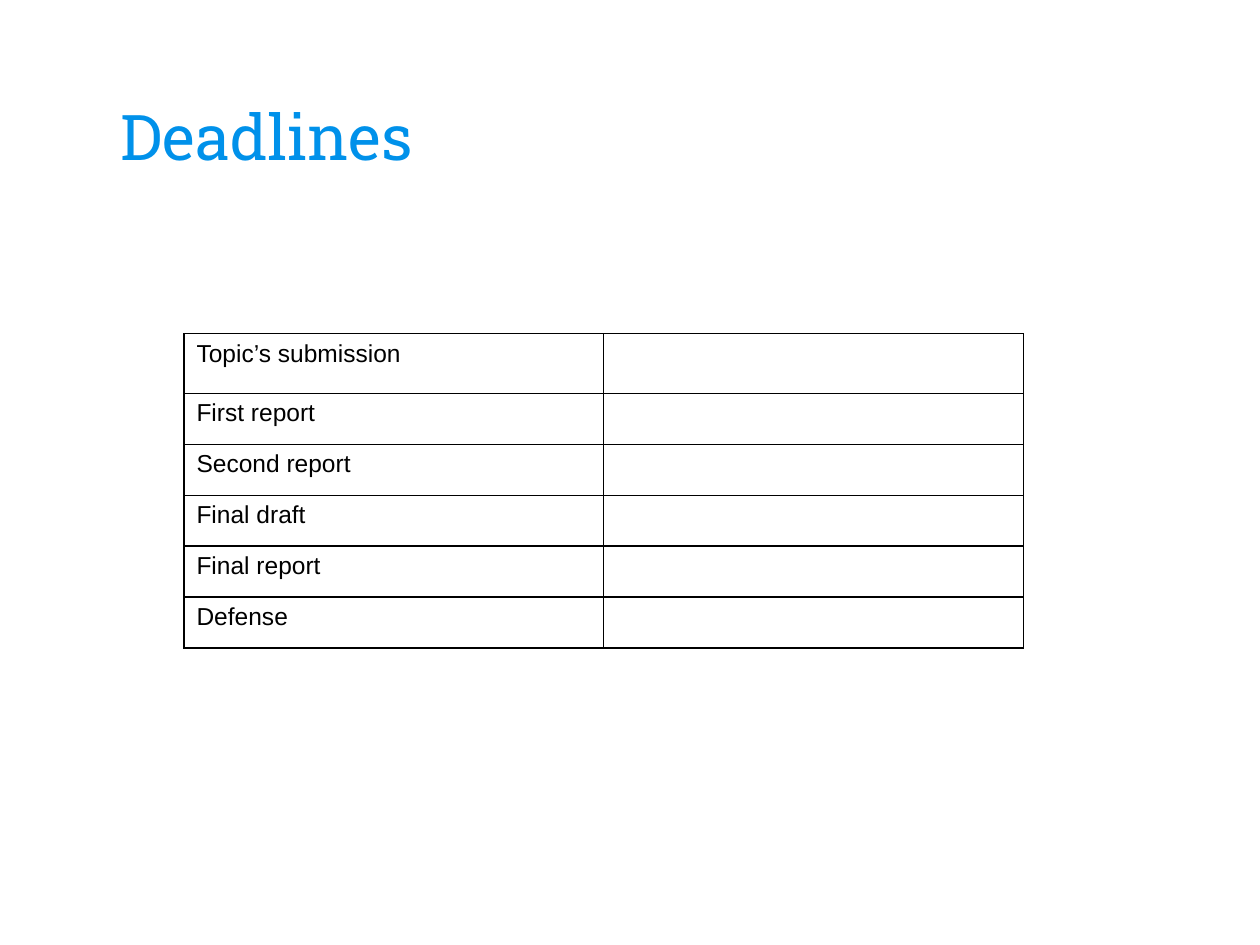
from lxml import etree
from pptx import Presentation
from pptx import util as u
from pptx.dml import color
from pptx.enum import text
from pptx.oxml import ns


def paint(target, value):
    target.rgb = color.RGBColor.from_string(value)


def write(paragraph, words, name, size, value):
    run = paragraph.add_run()
    run.text = words
    for key, setting in {"name": name, "size": u.Pt(size)}.items():
        setattr(run.font, key, setting)
    paint(run.font.color, value)


presentation = Presentation()
presentation.slide_width = u.Inches(10)
presentation.slide_height = u.Inches(7.5)
width, height = presentation.slide_width, presentation.slide_height
slide = presentation.slides.add_slide(presentation.slide_layouts[6])
slide.background.fill.solid()
paint(slide.background.fill.fore_color, "FFFFFF")

title = slide.shapes.add_textbox(
    u.Inches(0.86), u.Inches(0.45), u.Inches(8.28), u.Inches(1.02)
)
frame_format = {
    "word_wrap": True,
    "vertical_anchor": text.MSO_ANCHOR.BOTTOM,
    "margin_left": u.Inches(0.1),
    "margin_right": u.Inches(0.1),
    "margin_top": u.Inches(0.1),
    "margin_bottom": u.Inches(0.1),
}
for key, setting in frame_format.items():
    setattr(title.text_frame, key, setting)
write(title.text_frame.paragraphs[0], "Deadlines", "Roboto Slab", 36, "0091EA")

milestones = [
    "Topic’s submission",
    "First report",
    "Second report",
    "Final draft",
    "Final report",
    "Defense",
]
column_width = width // 3
row_height = int(height * 0.054)
first_row_height = u.Inches(0.47)
table_height = first_row_height + row_height * (len(milestones) - 1)
table = slide.shapes.add_table(
    len(milestones), 2, u.Inches(1.46), u.Inches(2.65), column_width * 2, table_height
).table
table.first_row = False
table.horz_banding = False
for column in table.columns:
    column.width = column_width
for index, row in enumerate(table.rows):
    row.height = row_height if index else first_row_height

for index, milestone in enumerate(milestones):
    write(table.cell(index, 0).text_frame.paragraphs[0], milestone, "Arial", 14, "000000")

for cell in table.iter_cells():
    properties = cell._tc.get_or_add_tcPr()
    for side in ("lnL", "lnR", "lnT", "lnB"):
        line = etree.SubElement(properties, ns.qn(f"a:{side}"), w=str(u.Pt(0.75)))
        fill = etree.SubElement(line, ns.qn("a:solidFill"))
        etree.SubElement(fill, ns.qn("a:srgbClr"), val="000000")
    cell.fill.background()

presentation.save("out.pptx")
